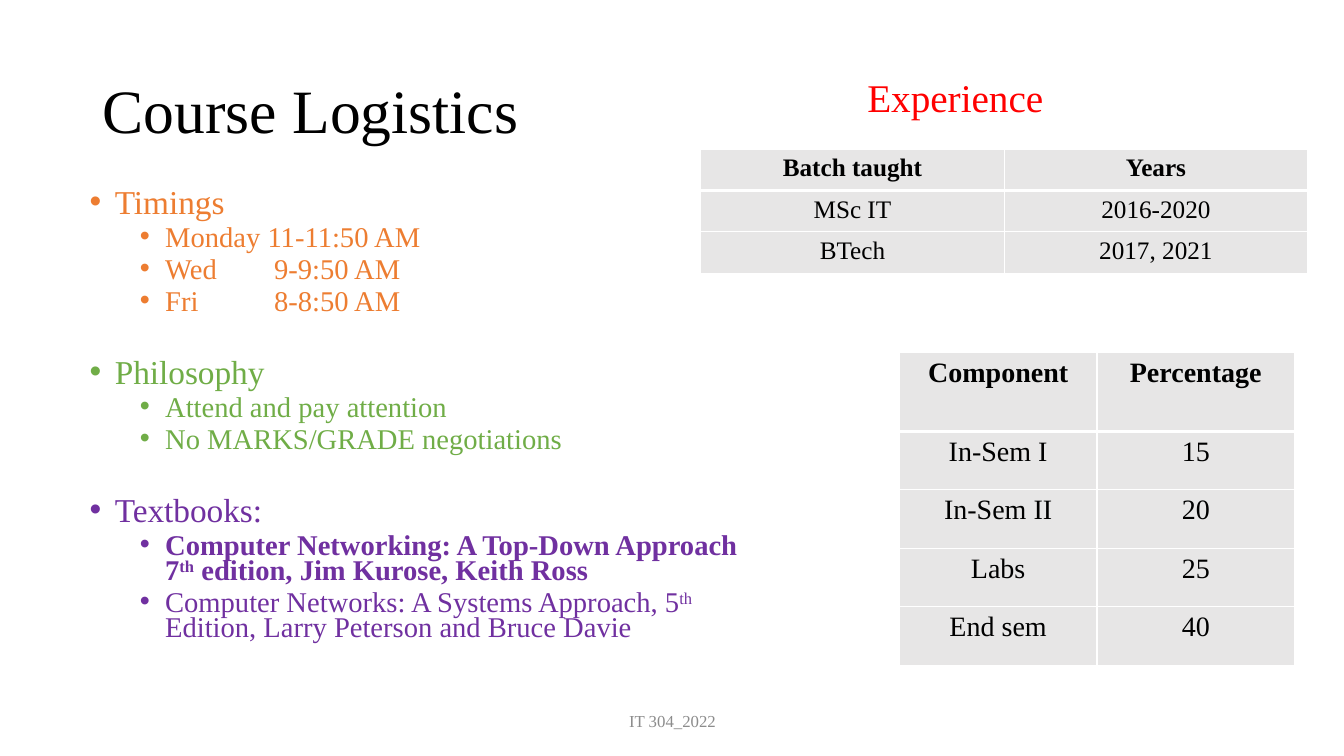
from lxml.etree import SubElement
from pptx import Presentation
from pptx.dml.color import RGBColor
from pptx.enum.text import MSO_ANCHOR, PP_ALIGN
from pptx.oxml import parse_xml
from pptx.oxml.ns import nsdecls, qn
from pptx.util import Pt

EMU_PER_PX = 9144
SERIF = "Times New Roman"
BLACK = RGBColor(0x00, 0x00, 0x00)
WHITE = RGBColor(0xFF, 0xFF, 0xFF)
RED = RGBColor(0xFF, 0x00, 0x00)
GRAY = RGBColor(0x8C, 0x8C, 0x8C)
CELL_GRAY = RGBColor(0xE7, 0xE6, 0xE6)
ORANGE = RGBColor(0xED, 0x7D, 0x31)
GREEN = RGBColor(0x70, 0xAD, 0x47)
PURPLE = RGBColor(0x70, 0x30, 0xA0)

LINE_SPACING = 0.73
# Stops measured from the indent and from the box edge meet at one place.
TIME_TABS = (108, 183)

# Each topic: heading, colour, space before, items as (text, bold).
# A caret pair encloses superscript.
TOPICS = [
    ("Timings", ORANGE, 10, [
        ("Monday 11-11:50 AM", False),
        ("Wed\t9-9:50 AM", False),
        ("Fri\t8-8:50 AM", False),
    ]),
    ("Philosophy", GREEN, 32, [
        ("Attend and pay attention", False),
        ("No MARKS/GRADE negotiations", False),
    ]),
    ("Textbooks:", PURPLE, 32, [
        ("Computer Networking: A Top-Down Approach 7^th^ edition, "
         "Jim Kurose, Keith Ross", True),
        ("Computer Networks: A Systems Approach, 5^th^ Edition, "
         "Larry Peterson and Bruce Davie", False),
    ]),
]
EXPERIENCE = [("Batch taught", "Years"), ("MSc IT", "2016-2020"),
              ("BTech", "2017, 2021")]
GRADING = [("Component", "Percentage"), ("In-Sem I", "15"),
           ("In-Sem II", "20"), ("Labs", "25"), ("End sem", "40")]


def px(length):
    return length * EMU_PER_PX


def write_text(para, text, size, color=BLACK, bold=False, align=PP_ALIGN.LEFT):
    para.alignment = align
    for index, part in enumerate(text.split("^")):
        span = para.add_run()
        span.text = part
        span.font.name = SERIF
        span.font.size = Pt(size)
        span.font.bold = bold
        span.font.color.rgb = color
        if index % 2:
            span.font._element.set("baseline", "30000")


def add_box(page, left, top, width, height, anchor=MSO_ANCHOR.TOP):
    box = page.shapes.add_textbox(px(left), px(top), px(width), px(height))
    frame = box.text_frame
    frame.word_wrap = True
    frame.vertical_anchor = anchor
    return frame


def set_bullet(para, level, tabs=()):
    para.level = level
    properties = para._p.get_or_add_pPr()
    properties.set("marL", str(px(25 + 50 * level)))
    properties.set("indent", str(px(-25)))
    SubElement(properties, qn("a:buFont")).set("typeface", "Arial")
    SubElement(properties, qn("a:buChar")).set("char", "•")
    if tabs:
        stops = SubElement(properties, qn("a:tabLst"))
        for position in tabs:
            stop = SubElement(stops, qn("a:tab"))
            stop.set("pos", str(px(position)))
            stop.set("algn", "l")


def add_bullet(frame, text, level, space_before, size, color, bold=False):
    first = frame.paragraphs[0]
    para = frame.add_paragraph() if first.runs else first
    para.line_spacing = LINE_SPACING
    para.space_before = Pt(space_before)
    set_bullet(para, level, TIME_TABS if "\t" in text else ())
    write_text(para, text, size, color, bold)


def set_borders(cell, top, bottom):
    properties = cell._tc.get_or_add_tcPr()
    widths = {"lnL": 1, "lnR": 1, "lnT": top, "lnB": bottom}
    for position, (side, width) in enumerate(widths.items()):
        border = parse_xml(
            f'<a:{side} {nsdecls("a")} w="{Pt(width)}"><a:solidFill>'
            f'<a:srgbClr val="{WHITE}"/></a:solidFill></a:{side}>')
        properties.insert(position, border)


def add_grid(page, left, top, column_width, row_heights, rows, size):
    count = len(rows[0])
    table = page.shapes.add_table(
        len(rows), count, px(left), px(top),
        px(column_width * count), px(sum(row_heights))).table
    table.horz_banding = False
    for column in table.columns:
        column.width = px(column_width)
    for row_index, values in enumerate(rows):
        table.rows[row_index].height = px(row_heights[row_index])
        for column_index, value in enumerate(values):
            cell = table.cell(row_index, column_index)
            cell.fill.solid()
            cell.fill.fore_color.rgb = CELL_GRAY
            set_borders(cell, top=3 if row_index == 1 else 1,
                        bottom=3 if row_index == 0 else 1)
            write_text(cell.text_frame.paragraphs[0], value, size,
                       bold=row_index == 0, align=PP_ALIGN.CENTER)


def main():
    deck = Presentation()
    deck.slide_width, deck.slide_height = px(1333), px(750)
    page = deck.slides.add_slide(deck.slide_layouts[6])

    # Title
    title = add_box(page, 92, 40, 1150, 145, MSO_ANCHOR.MIDDLE)
    title.paragraphs[0].line_spacing = 0.9
    write_text(title.paragraphs[0], "Course Logistics", 44)

    # Topics
    body = add_box(page, 79, 185, 670, 476)
    for heading, color, space_before, items in TOPICS:
        add_bullet(body, heading, 0, space_before, 23.8, color)
        for text, bold in items:
            add_bullet(body, text, 1, 5, 20.4, color, bold)

    # Footer
    footer = add_box(page, 442, 695, 450, 40, MSO_ANCHOR.MIDDLE)
    write_text(footer.paragraphs[0], "IT 304_2022", 12, GRAY,
               align=PP_ALIGN.CENTER)

    # Grading and experience tables
    add_grid(page, 892, 350, 196, [78] + [58] * 4, GRADING, 20)
    add_grid(page, 695, 148, 301, [41] * 3, EXPERIENCE, 18)
    caption = add_box(page, 790, 68, 315, 57)
    write_text(caption.paragraphs[0], "Experience", 28, RED,
               align=PP_ALIGN.CENTER)

    deck.save("out.pptx")


if __name__ == "__main__":
    main()
